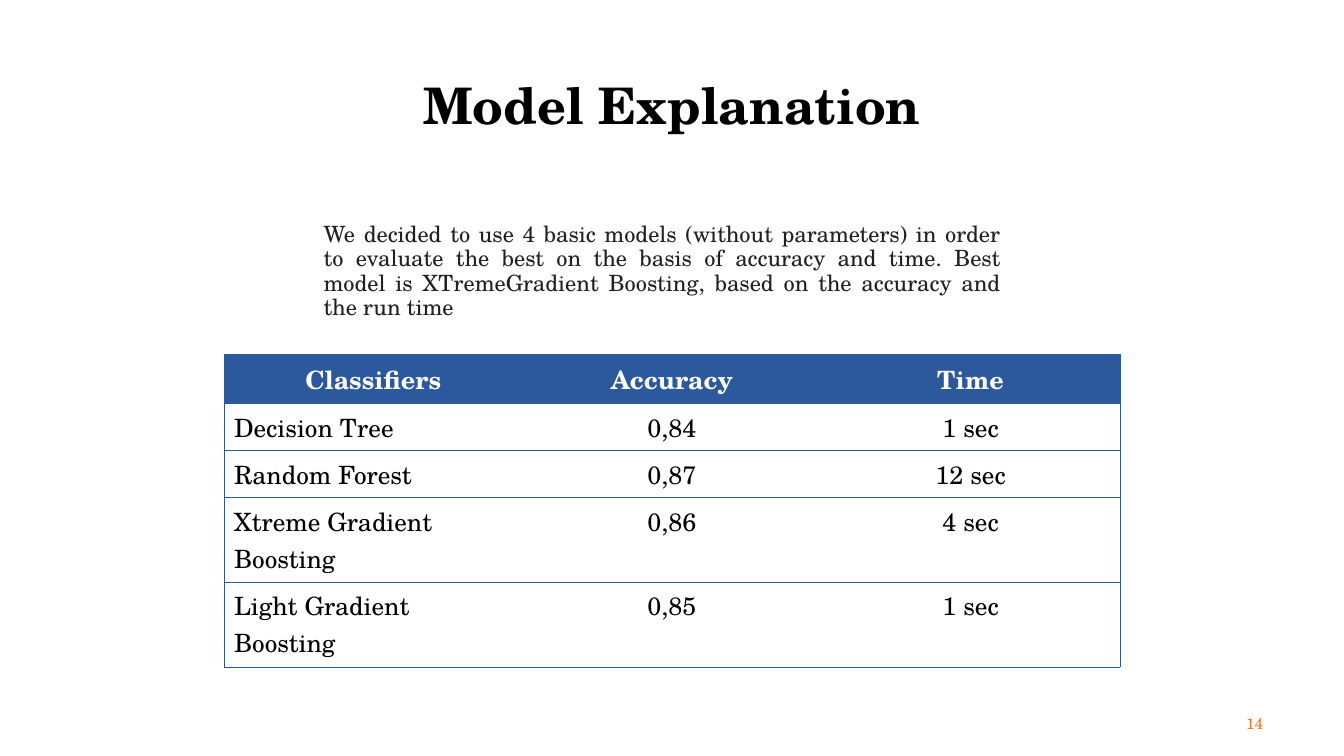
from dataclasses import dataclass

from lxml import etree
from pptx import Presentation
from pptx.dml.color import RGBColor
from pptx.enum import text as t
from pptx.oxml import ns
from pptx.util import Pt


@dataclass(frozen=True)
class Theme:
    """Colours, font and type sizes of the deck."""
    font: str = "TeX Gyre Schola"
    black: str = "000000"
    ink: str = "202124"
    white: str = "FFFFFF"
    blue: str = "2C599D"
    orange: str = "FA6F1A"
    title: int = 36
    table: int = 18
    body: int = 16
    number: int = 11


THEME = Theme()
CENTER, LEFT = t.PP_ALIGN.CENTER, t.PP_ALIGN.LEFT
NO_STYLE = "{2D5ABB26-0587-4C30-8999-92F81FD0307C}"
CLASSIFIERS = [
    ("Classifiers", "Accuracy", "Time"),
    ("Decision Tree", "0,84", "1 sec"),
    ("Random Forest", "0,87", "12 sec"),
    ("Xtreme Gradient Boosting", "0,86", "4 sec"),
    ("Light Gradient Boosting", "0,85", "1 sec"),
]
ROW_HEIGHTS = [35, 33.6, 33.6, 60.4, 60.4]
INTRO = (
    "We decided to use 4 basic models (without parameters) in order to evaluate "
    "the best on the basis of accuracy and time. Best model is XTremeGradient "
    "Boosting, based on the accuracy and the run time"
)


def write(frame, words, size, color, align, bold=False):
    """Fill a text frame with one styled paragraph and return it."""
    frame.word_wrap = True
    para = frame.paragraphs[0]
    para.text = words
    para.alignment = align
    para.font.name = THEME.font
    para.font.size = Pt(size)
    para.font.bold = bold
    para.font.color.rgb = RGBColor.from_string(color)
    return para


def place(shape, box, anchor):
    """Move a text shape to a box given in points and fix its anchor."""
    shape.left, shape.top, shape.width, shape.height = map(Pt, box)
    shape.text_frame.auto_size = t.MSO_AUTO_SIZE.NONE
    shape.text_frame.vertical_anchor = anchor
    return shape.text_frame


def add_title(page, box):
    """Set the slide heading."""
    frame = place(page.shapes.title, box, t.MSO_ANCHOR.MIDDLE)
    para = write(frame, "Model Explanation", THEME.title, THEME.black, CENTER, True)
    para.line_spacing = 0.9


def add_intro(page, box):
    """Set the justified introduction without a bullet."""
    frame = place(page.placeholders[1], box, t.MSO_ANCHOR.TOP)
    frame.margin_right = 0
    para = write(frame, INTRO, THEME.body, THEME.ink, t.PP_ALIGN.JUSTIFY)
    para.line_spacing = Pt(17.4)
    para.space_before = Pt(10)
    properties = para._p.get_or_add_pPr()
    properties.set("marL", "0")
    properties.set("indent", "0")
    bullet = etree.Element(ns.qn("a:buNone"))
    properties.find(ns.qn("a:spcBef")).addnext(bullet)


def add_border(cell, side):
    """Draw a thin blue line on one side of a cell."""
    line = etree.SubElement(cell._tc.get_or_add_tcPr(), ns.qn(f"a:ln{side}"), w=str(Pt(0.5)))
    fill = etree.SubElement(line, ns.qn("a:solidFill"))
    etree.SubElement(fill, ns.qn("a:srgbClr"), val=THEME.blue)


def add_classifiers(page, box):
    """Build the table of classifiers with ruled rows and an outer frame."""
    last = len(CLASSIFIERS[0]) - 1
    table = page.shapes.add_table(len(CLASSIFIERS), last + 1, *map(Pt, box)).table
    table.first_row = table.horz_banding = False
    table._tbl.tblPr.find(ns.qn("a:tableStyleId")).text = NO_STYLE
    for column in table.columns:
        column.width = Pt(box[2] / (last + 1))
    for i, (values, height) in enumerate(zip(CLASSIFIERS, ROW_HEIGHTS)):
        table.rows[i].height = Pt(height)
        header = i == 0
        for j, value in enumerate(values):
            cell = table.cell(i, j)
            sides = ("L" if j == 0 else "") + ("R" if j == last else "") + "TB"
            for side in sides:
                add_border(cell, side)
            cell.fill.solid()
            cell.fill.fore_color.rgb = RGBColor.from_string(THEME.blue if header else THEME.white)
            color = THEME.white if header else THEME.black
            align = CENTER if header or j else LEFT
            write(cell.text_frame, value, THEME.table, color, align, header)


def add_number(page, box):
    """Put the page number in the lower right corner."""
    frame = place(page.shapes.add_textbox(0, 0, 0, 0), box, t.MSO_ANCHOR.MIDDLE)
    write(frame, "14", THEME.number, THEME.orange, t.PP_ALIGN.RIGHT)


def main():
    """Build and save the deck."""
    deck = Presentation()
    deck.slide_width, deck.slide_height = Pt(960), Pt(540)
    page = deck.slides.add_slide(deck.slide_layouts[1])
    add_number(page, (693.4, 502.6, 216, 28.8))
    add_title(page, (66, 49.7, 828, 55.4))
    add_classifiers(page, (160, 253.2, 640, sum(ROW_HEIGHTS)))
    add_intro(page, (223.9, 155.5, 491, 88.6))
    deck.save("out.pptx")


if __name__ == "__main__":
    main()
